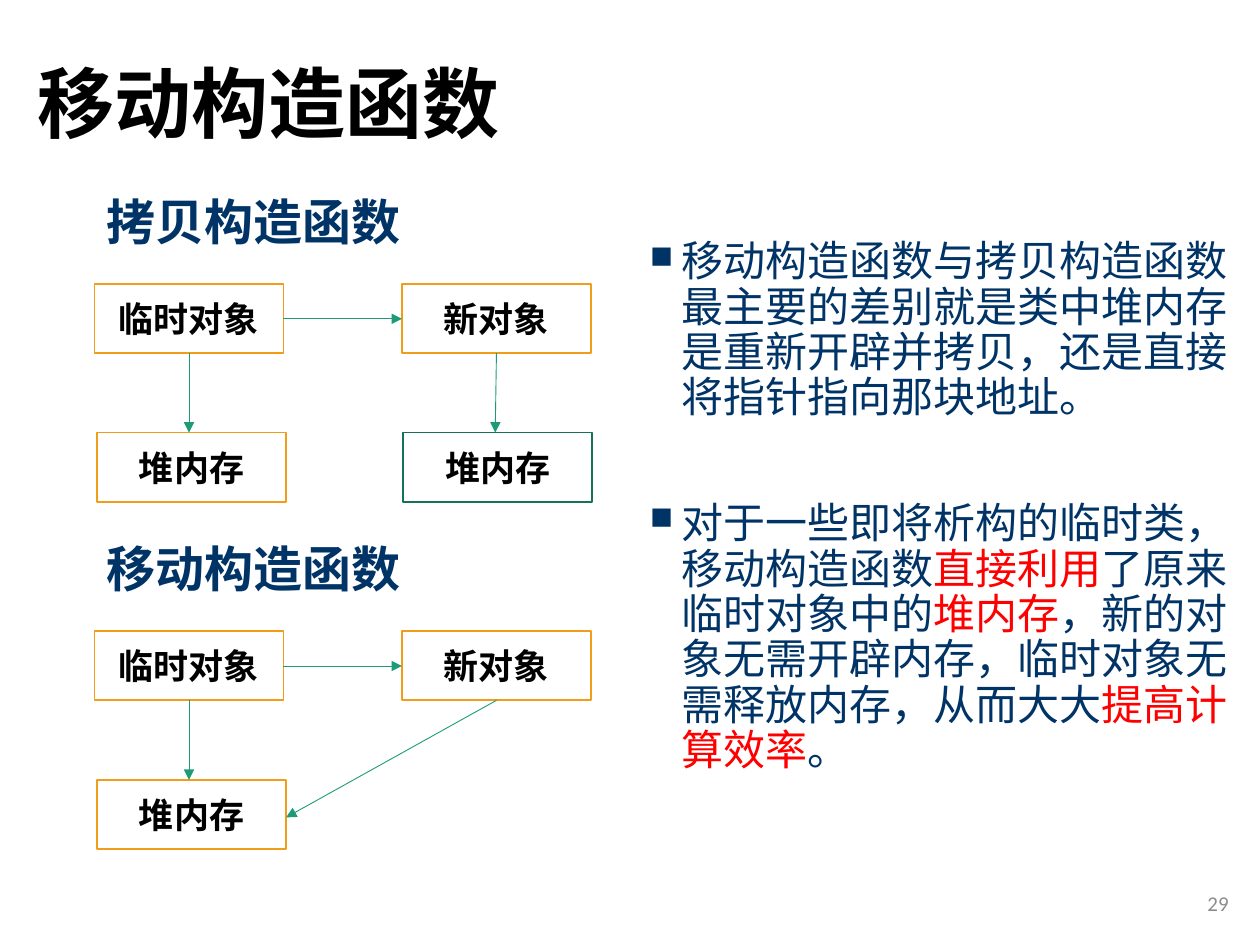
import pptx
import pptx.util
import pptx.dml.color
import pptx.enum.shapes
import pptx.enum.text
import pptx.oxml.ns
import lxml.etree

Pt = pptx.util.Pt
RGB = pptx.dml.color.RGBColor
Align = pptx.enum.text.PP_ALIGN
Anchor = pptx.enum.text.MSO_ANCHOR
qn = pptx.oxml.ns.qn

BLACK = RGB(0x00, 0x00, 0x00)
WHITE = RGB(0xFF, 0xFF, 0xFF)
NAVY = RGB(0x00, 0x33, 0x66)
RED = RGB(0xFF, 0x00, 0x00)
GRAY = RGB(0x8C, 0x8C, 0x8C)
AMBER = RGB(0xF1, 0x9D, 0x19)
GREEN = RGB(0x1D, 0x9A, 0x78)
PINE = RGB(0x15, 0x72, 0x59)
HAN = "Noto Sans CJK SC"


def add_run(para, text, size, color, bold=False, face=HAN):
    run = para.add_run()
    run.text = text
    font = run.font
    font.name, font.size, font.bold = face, Pt(size), bold
    font.color.rgb = color
    mark = lxml.etree.SubElement(run._r.get_or_add_rPr(), qn("a:ea"))
    mark.set("typeface", face)


def add_text(slide, box, anchor=Anchor.TOP):
    frame = slide.shapes.add_textbox(*map(Pt, box)).text_frame
    frame.word_wrap = True
    frame.vertical_anchor = anchor
    return frame


def add_title(slide, box, text):
    para = add_text(slide, box, Anchor.MIDDLE).paragraphs[0]
    para.line_spacing = 0.9
    add_run(para, text, 44, BLACK, True)


def add_head(slide, box, text):
    add_run(add_text(slide, box).paragraphs[0], text, 28, NAVY, True)


def add_page(slide, box, text):
    para = add_text(slide, box, Anchor.MIDDLE).paragraphs[0]
    para.alignment = Align.RIGHT
    add_run(para, text, 12, GRAY, face="Calibri")


def add_node(group, left, top, text, edge=AMBER):
    kind = pptx.enum.shapes.MSO_SHAPE.RECTANGLE
    node = group.shapes.add_shape(kind, Pt(left), Pt(top), Pt(108), Pt(39.6))
    node.shadow.inherit = False
    node.fill.solid()
    node.fill.fore_color.rgb = WHITE
    node.line.color.rgb = edge
    node.line.width = Pt(1)
    frame = node.text_frame
    frame.vertical_anchor = Anchor.MIDDLE
    para = frame.paragraphs[0]
    para.alignment = Align.CENTER
    add_run(para, text, 20, BLACK, True)


def add_arrow(group, x1, y1, x2, y2):
    kind = pptx.enum.shapes.MSO_CONNECTOR.STRAIGHT
    arrow = group.shapes.add_connector(kind, Pt(x1), Pt(y1), Pt(x2), Pt(y2))
    arrow.line.color.rgb = GREEN
    arrow.line.width = Pt(0.5)
    tail = lxml.etree.SubElement(arrow.line._get_or_add_ln(), qn("a:tailEnd"))
    tail.set("type", "triangle")
    lxml.etree.SubElement(arrow._element.spPr, qn("a:effectLst"))


def add_graph(slide, left, top, shared):
    group = slide.shapes.add_group_shape()
    add_node(group, left, top, "临时对象")
    add_node(group, left + 1.5, top + 85, "堆内存")
    add_node(group, left + 175.7, top, "新对象")
    add_arrow(group, left + 107.5, top + 20, left + 175.7, top + 20)
    add_arrow(group, left + 54, top + 39.6, left + 54, top + 85)
    if shared:
        add_arrow(group, left + 229.7, top + 39.6, left + 109.5, top + 106.5)
    else:
        add_node(group, left + 176.5, top + 85, "堆内存", PINE)
        add_arrow(group, left + 229.7, top + 39.6, left + 229, top + 85)


def add_notes(slide, box, items):
    frame = add_text(slide, box)
    for i, parts in enumerate(items):
        para = frame.add_paragraph() if i else frame.paragraphs[0]
        para.line_spacing = 0.9
        para.space_before = Pt(46 if i else 10)
        props = para._p.get_or_add_pPr()
        props.set("marL", str(Pt(18)))
        props.set("indent", str(Pt(-18)))
        for tag, key, value in (("a:buSzPct", "val", "75000"),
                                ("a:buChar", "char", "■")):
            lxml.etree.SubElement(props, qn(tag)).set(key, value)
        for text, color in parts:
            add_run(para, text, 24, color)


NOTES = [
    [("移动构造函数与拷贝构造函数最主要的差别就是类中堆内存"
      "是重新开辟并拷贝，还是直接将指针指向那块地址。", NAVY)],
    [("对于一些即将析构的临时类，移动构造函数", NAVY),
     ("直接利用", RED),
     ("了原来临时对象中的", NAVY),
     ("堆内存", RED),
     ("，新的对象无需开辟内存，临时对象无需释放内存，从而大大", NAVY),
     ("提高计算效率", RED),
     ("。", NAVY)],
]

deck = pptx.Presentation()
deck.slide_width, deck.slide_height = Pt(720), Pt(540)
slide = deck.slides.add_slide(deck.slide_layouts[6])
add_title(slide, (14.4, 9.4, 620.6, 104.4), "移动构造函数")
for top, head, shared in ((105.8, "拷贝构造函数", False),
                          (304.2, "移动构造函数", True)):
    add_head(slide, (54, top, 203, 41), head)
    add_graph(slide, 54, top + 56.4, shared)
add_notes(slide, (364.3, 133.9, 344.9, 306), NOTES)
add_page(slide, (547.2, 501.8, 162, 28.8), "29")
deck.save("out.pptx")
